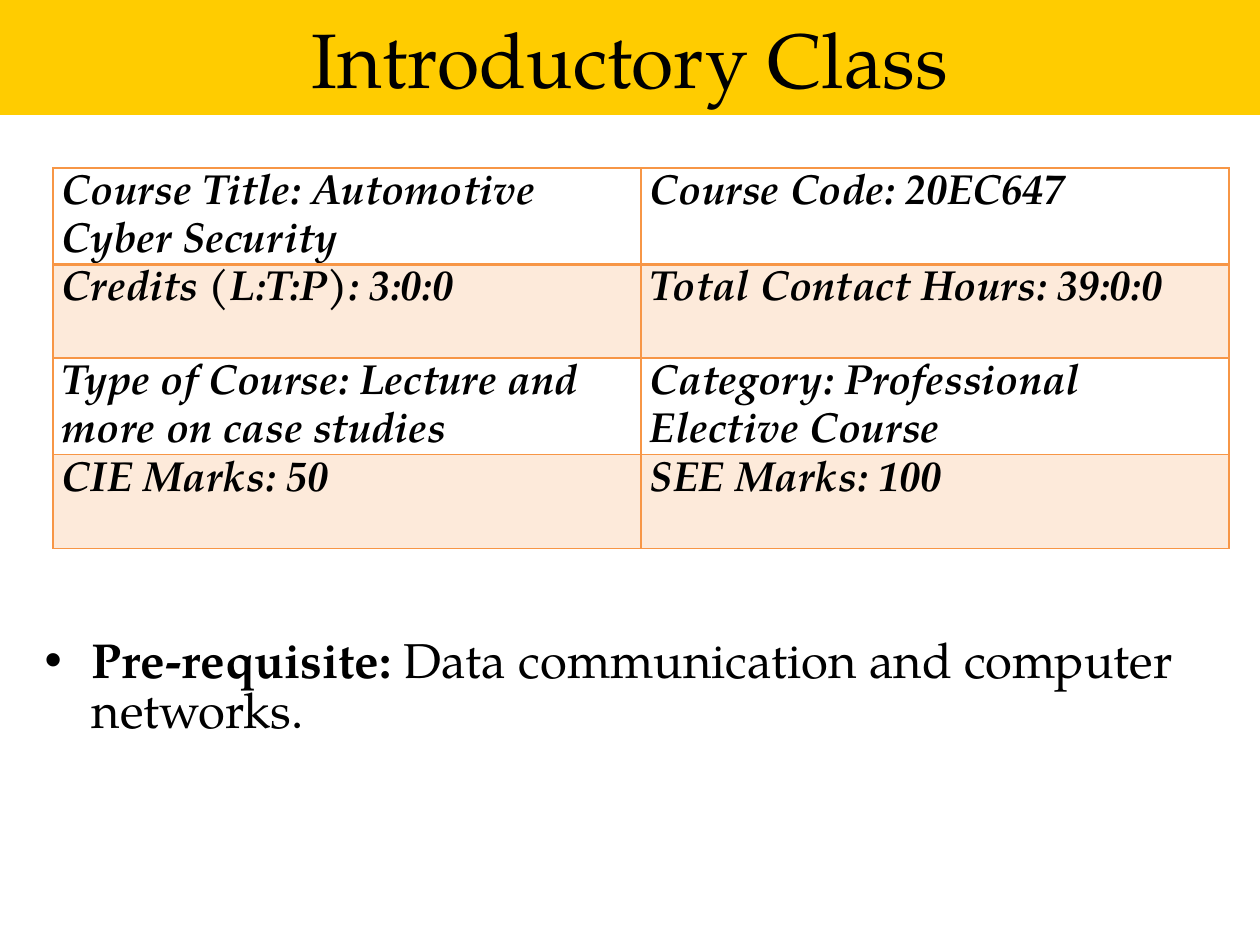
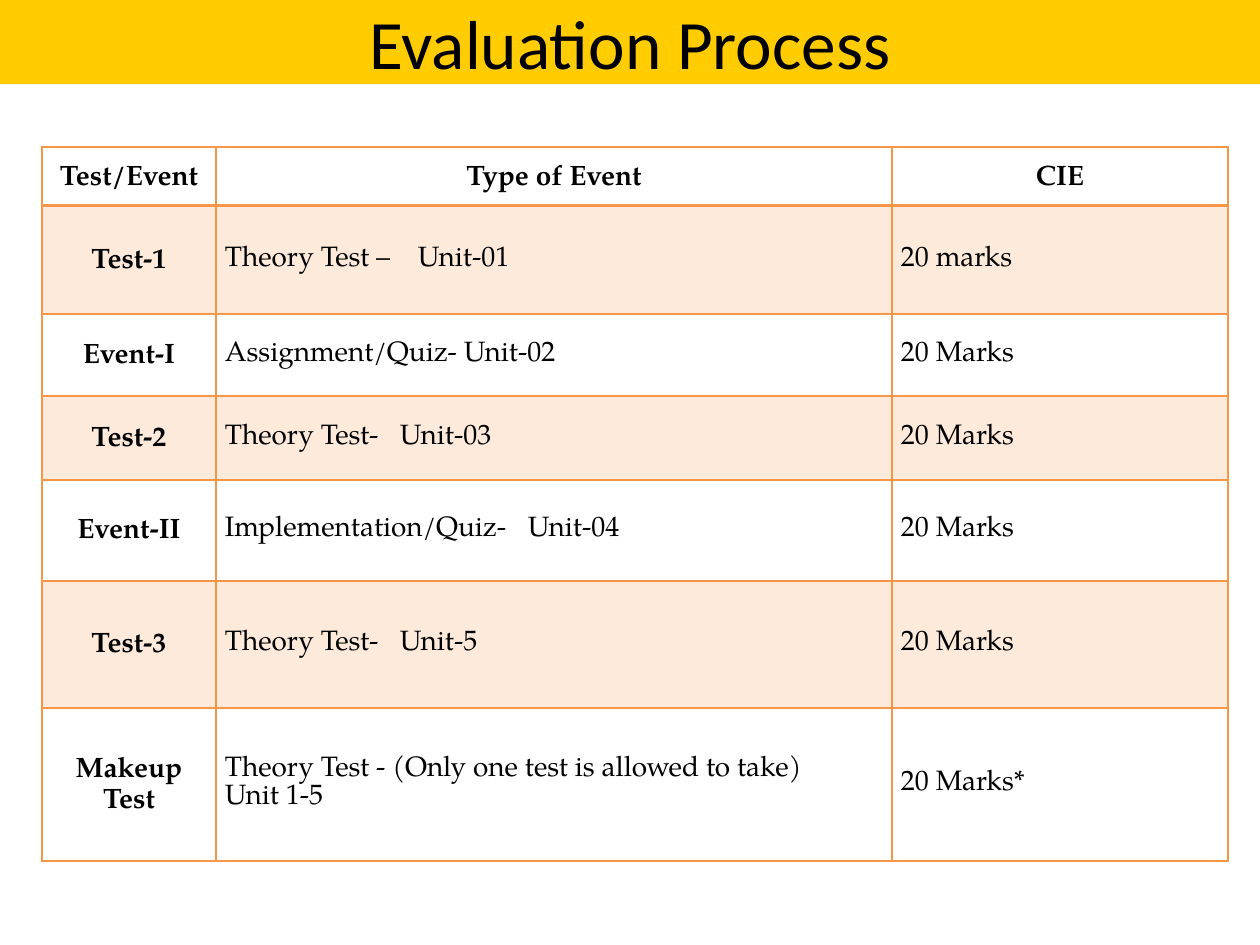
from lxml import etree
from pptx import Presentation
from pptx.dml.color import RGBColor
from pptx.enum.text import MSO_ANCHOR, MSO_AUTO_SIZE, PP_ALIGN
from pptx.oxml.ns import qn
from pptx.util import Emu, Pt

CENTER, LEFT = PP_ALIGN.CENTER, PP_ALIGN.LEFT
TOP, MIDDLE = MSO_ANCHOR.TOP, MSO_ANCHOR.MIDDLE
NO_FIT = MSO_AUTO_SIZE.NONE

PX_PER_INCH = 126
SLIDE_W, SLIDE_H = 1260, 945
SERIF, SANS = "TeX Gyre Pagella", "Calibri"
BAND, INK, ORANGE = "FFCC00", "000000", "F79646"
TINT_ALPHA = 20
TITLE_AND_BODY, TITLE_ONLY = 1, 5

COURSE_FACTS = [
    ("Course Title: Automotive Cyber Security", "Course Code: 20EC647"),
    ("Credits (L:T:P): 3:0:0", "Total Contact Hours: 39:0:0"),
    ("Type of Course: Lecture and more on case studies",
     "Category: Professional Elective Course"),
    ("CIE Marks: 50", "SEE Marks: 100"),
]
EVALUATION = [
    ("Test/Event", "Type of Event", "CIE"),
    ("Test-1", "Theory Test –\tUnit-01", "20 marks"),
    ("Event-I", "Assignment/Quiz- Unit-02", "20 Marks"),
    ("Test-2", "Theory Test-\tUnit-03", "20 Marks"),
    ("Event-II", "Implementation/Quiz-\tUnit-04", "20 Marks"),
    ("Test-3", "Theory Test-\tUnit-5", "20 Marks"),
    ("Makeup Test",
     "Theory Test - (Only one test is allowed to take)\nUnit 1-5",
     "20 Marks*"),
]
UNIT_TABS = {1: 193, 3: 175, 4: 303, 5: 175}


def px(n):
    """Turn pixels into EMU."""
    return Emu(round(n * 914400 / PX_PER_INCH))


def rgb(value):
    """Turn a hex string into a colour."""
    return RGBColor.from_string(value)


def place(sp, x, y, w, h):
    """Set the position and size of a shape."""
    sp.left, sp.top, sp.width, sp.height = px(x), px(y), px(w), px(h)


def add_text(p, text, size, font=SERIF, bold=False, italic=False,
             align=None, spacing=None):
    """Append a formatted run to a paragraph."""
    if align is not None:
        p.alignment = align
    if spacing is not None:
        p.line_spacing = spacing
    r = p.add_run()
    r.text = text
    r.font.size, r.font.name = Pt(size), font
    r.font.bold, r.font.italic = bold, italic
    r.font.color.rgb = rgb(INK)


def add_tab(p, position):
    """Give a paragraph one left tab stop."""
    tabs = etree.SubElement(p._p.get_or_add_pPr(), qn("a:tabLst"))
    etree.SubElement(tabs, qn("a:tab"), pos=str(px(position)), algn="l")


def set_title(slide, text, height, size, font):
    """Turn the title placeholder into the top band."""
    sp = slide.shapes.title
    place(sp, 0, 0, SLIDE_W, height)
    sp.fill.solid()
    sp.fill.fore_color.rgb = rgb(BAND)
    tf = sp.text_frame
    tf.auto_size, tf.vertical_anchor = NO_FIT, MIDDLE
    add_text(tf.paragraphs[0], text, size, font=font, align=CENTER)


def set_prerequisite(slide):
    """Write the prerequisite in the body placeholder."""
    sp = slide.placeholders[1]
    place(sp, 32, 633, 1196, 292)
    tf = sp.text_frame
    tf.auto_size = NO_FIT
    p = tf.paragraphs[0]
    p.space_before = Pt(0)
    add_text(p, "Pre-requisite: ", 28, bold=True, spacing=0.84)
    add_text(p, "Data communication and computer networks.", 28)


def style_cell(cell, row, anchor):
    """Set the borders, row tint, margins and anchor of a cell."""
    tc_pr = cell._tc.get_or_add_tcPr()
    widths = {"L": 1, "R": 1, "T": 2 if row == 1 else 1,
              "B": 2 if row == 0 else 1}
    for side, width in widths.items():
        ln = etree.SubElement(tc_pr, qn(f"a:ln{side}"), w=str(Pt(width)))
        fill = etree.SubElement(ln, qn("a:solidFill"))
        etree.SubElement(fill, qn("a:srgbClr"), val=ORANGE)
    if row % 2:
        cell.fill.solid()
        cell.fill.fore_color.rgb = rgb(ORANGE)
        color = tc_pr.find(qn("a:solidFill")).find(qn("a:srgbClr"))
        etree.SubElement(color, qn("a:alpha"), val=str(TINT_ALPHA * 1000))
    else:
        cell.fill.background()
    cell.margin_left = cell.margin_right = px(9)
    cell.margin_top = cell.margin_bottom = 0
    cell.vertical_anchor = anchor


def add_grid(slide, x, y, cols, rows, data, anchor, cell_format, tabs):
    """Add a bordered table; cell_format gives the text format of a cell."""
    table = slide.shapes.add_table(len(rows), len(cols), px(x), px(y),
                                   px(sum(cols)), px(sum(rows))).table
    for column, width in zip(table.columns, cols):
        column.width = px(width)
    for i, (height, texts) in enumerate(zip(rows, data)):
        table.rows[i].height = px(height)
        for j, text in enumerate(texts):
            cell = table.cell(i, j)
            style_cell(cell, i, anchor)
            tf = cell.text_frame
            for k, line in enumerate(text.split("\n")):
                p = tf.add_paragraph() if k else tf.paragraphs[0]
                add_text(p, line, **cell_format(i, j))
                if "\t" in line:
                    add_tab(p, tabs[i])


def fact_format(row, col):
    """Give the text format of every course fact."""
    return dict(size=24, bold=True, italic=True, spacing=1.15)


def evaluation_format(row, col):
    """Set headings apart from the plain evaluation cells."""
    heading = row == 0 or col == 0
    return dict(size=16, bold=heading, align=CENTER if heading else LEFT,
                spacing=1.15 if heading else 1.0)


def build_introduction(prs):
    """Build the slide with the course facts."""
    slide = prs.slides.add_slide(prs.slide_layouts[TITLE_AND_BODY])
    set_title(slide, "Introductory Class", 115, 44, SERIF)
    set_prerequisite(slide)
    add_grid(slide, 53, 168, [588] * 2, [94] * 4, COURSE_FACTS, TOP,
             fact_format, {})


def build_evaluation(prs):
    """Build the slide with the tests and their marks."""
    slide = prs.slides.add_slide(prs.slide_layouts[TITLE_ONLY])
    set_title(slide, "Evaluation Process", 84, 39.6, SANS)
    add_grid(slide, 42, 147, [174, 676, 336],
             [59, 108, 82, 84, 101, 127, 153], EVALUATION, MIDDLE,
             evaluation_format, UNIT_TABS)


def main():
    """Build and save the presentation."""
    prs = Presentation()
    prs.slide_width, prs.slide_height = px(SLIDE_W), px(SLIDE_H)
    build_introduction(prs)
    build_evaluation(prs)
    prs.save("out.pptx")


if __name__ == "__main__":
    main()
